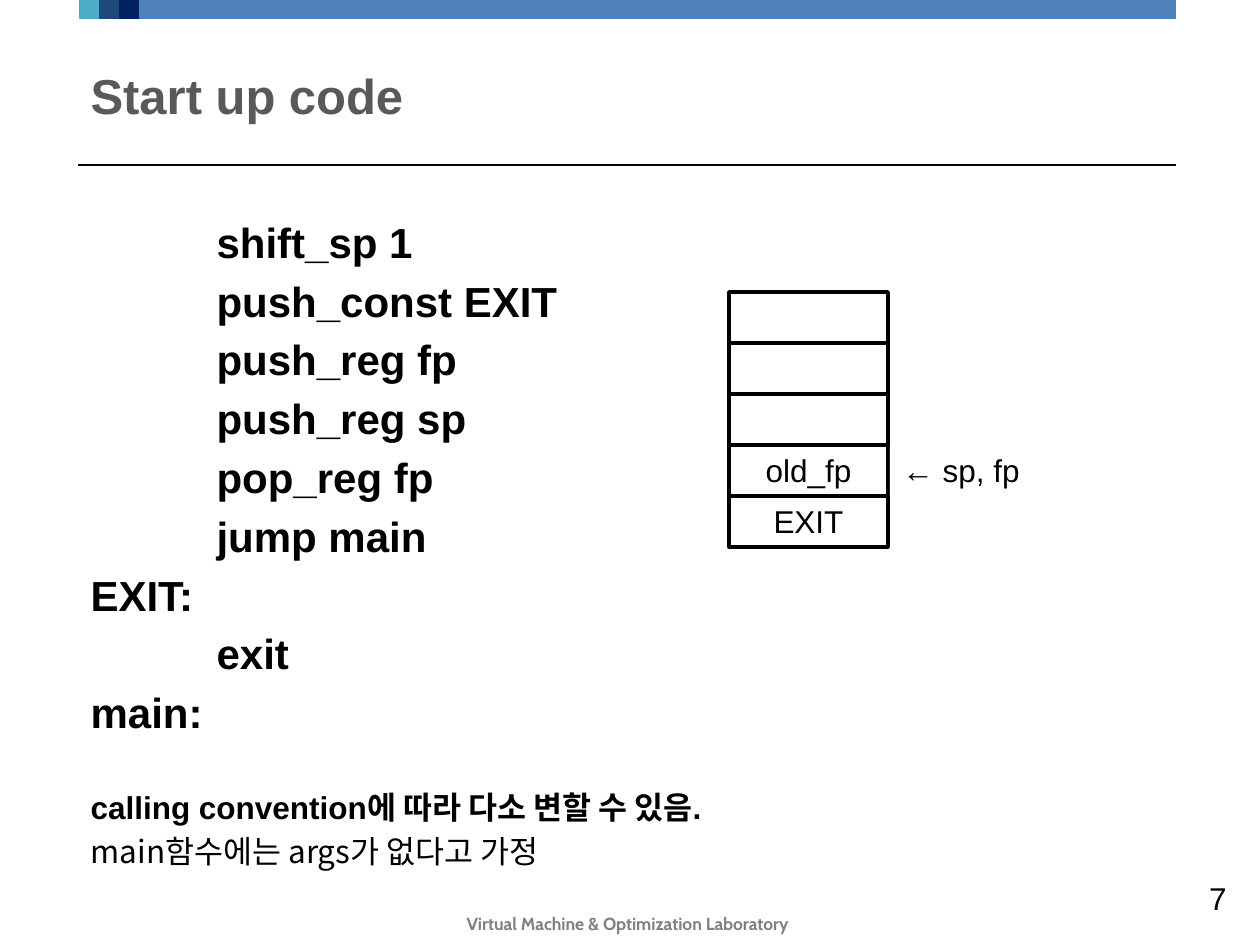
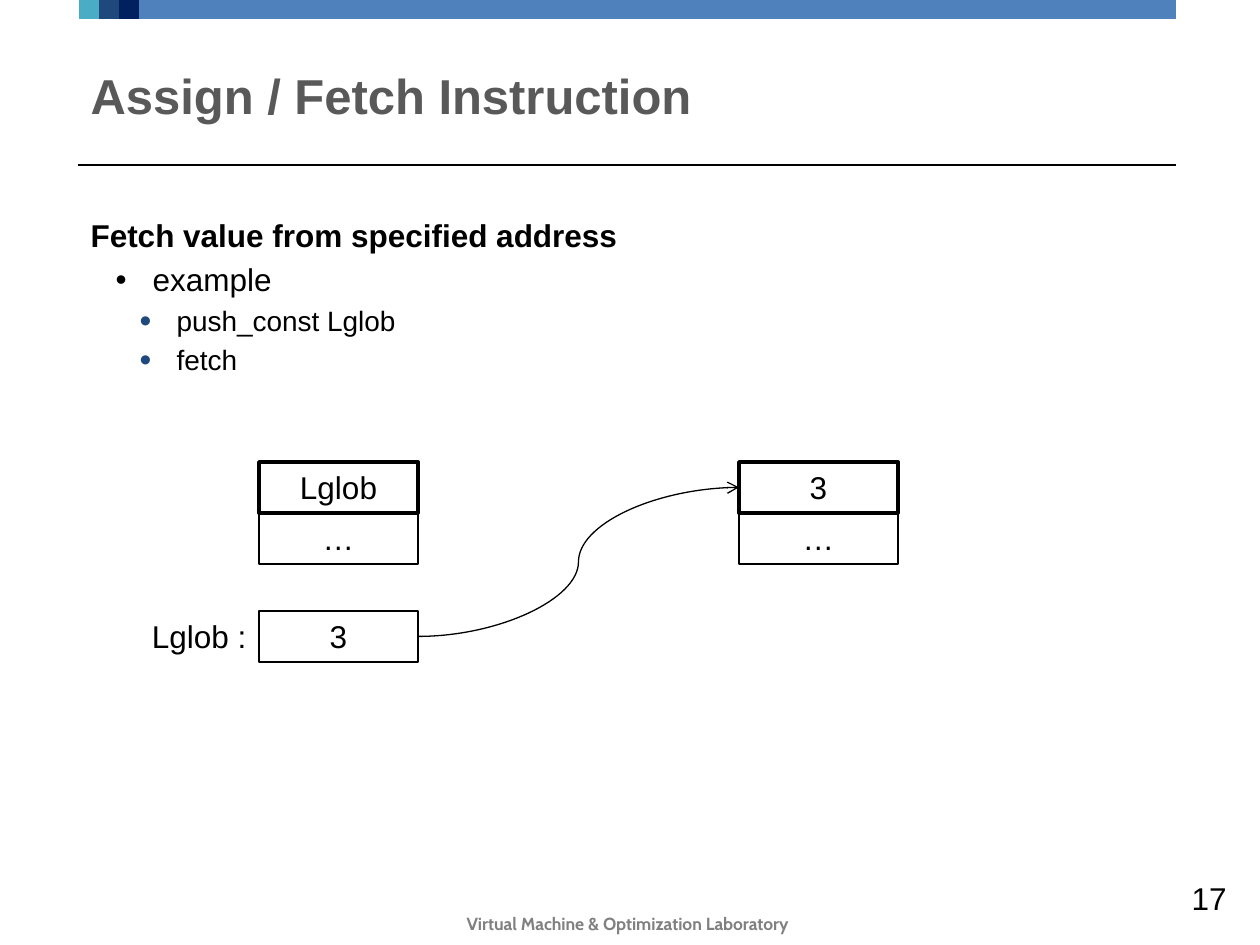
from lxml import etree
from pptx import Presentation
from pptx.dml.color import RGBColor
from pptx.enum.shapes import MSO_CONNECTOR, MSO_SHAPE
from pptx.enum.text import MSO_ANCHOR, MSO_AUTO_SIZE, PP_ALIGN
from pptx.oxml.ns import qn
from pptx.util import Pt

RECTANGLE = MSO_SHAPE.RECTANGLE
STRAIGHT, CURVE = MSO_CONNECTOR.STRAIGHT, MSO_CONNECTOR.CURVE
TOP, MIDDLE = MSO_ANCHOR.TOP, MSO_ANCHOR.MIDDLE
LEFT, CENTER, RIGHT = PP_ALIGN.LEFT, PP_ALIGN.CENTER, PP_ALIGN.RIGHT
NO_AUTOFIT = MSO_AUTO_SIZE.NONE

EMU_PER_PX = 914400 / 126
SLIDE_SIZE = (1260, 945)
MARGIN, CONTENT_WIDTH = 78, 1098
CELL_WIDTH, CELL_HEIGHT = 159, 51
BAND_HEIGHT, SQUARE = 20, 20

BLACK, WHITE = "000000", "FFFFFF"
TITLE_GRAY, FOOTER_GRAY = "595959", "808080"
BAND_BLUE, NAVY = "4F81BD", "1F497D"
SQUARE_COLORS = ("4BACC6", NAVY, "002060")
LATIN, FOOTER_FONT, KOREAN = "Arial", "Cabin", "Noto Sans CJK KR"
FOOTER = "Virtual Machine & Optimization Laboratory"

CODE_LINES = (
    (1, "shift_sp 1"), (1, "push_const EXIT"), (1, "push_reg fp"),
    (1, "push_reg sp"), (1, "pop_reg fp"), (1, "jump main"),
    (0, "EXIT:"), (1, "exit"), (0, "main:"),
)
TAB_WIDTH = 126
FETCH_STEPS = ("push_const Lglob", "fetch")


def px(length):
    """Turn px into EMU."""
    return round(length * EMU_PER_PX)


def color(hex_code):
    """Turn a hex string into a colour."""
    return RGBColor.from_string(hex_code)


def write(paragraph, text, size=18, bold=False, fill=BLACK, font=LATIN, align=LEFT):
    """Add formatted text to a paragraph."""
    paragraph.alignment = align
    run = paragraph.add_run()
    run.text = text
    run.font.size = Pt(size)
    run.font.bold = bold
    run.font.name = font
    run.font.color.rgb = color(fill)
    east_asian = etree.SubElement(run.font._element, qn("a:ea"))
    east_asian.set("typeface", KOREAN)


def place(shape, left, top, width, height):
    """Move and size a shape."""
    shape.left, shape.top = px(left), px(top)
    shape.width, shape.height = px(width), px(height)


def add_box(slide, left, top, width, height, fill=WHITE, border=0, text="", align=CENTER):
    """Add a rectangle with an optional border and text."""
    box = slide.shapes.add_shape(RECTANGLE, px(left), px(top), px(width), px(height))
    box.shadow.inherit = False
    box.fill.solid()
    box.fill.fore_color.rgb = color(fill)
    if border:
        box.line.color.rgb = color(BLACK)
        box.line.width = Pt(border)
    else:
        box.line.fill.background()
    if text:
        box.text_frame.vertical_anchor = TOP
        write(box.text_frame.paragraphs[0], text, align=align)
    return box


def add_cell(slide, left, top, text="", border=2):
    """Add one memory cell."""
    return add_box(slide, left, top, CELL_WIDTH, CELL_HEIGHT, border=border, text=text)


def add_label(slide, left, top, width, height, text, anchor=TOP, **text_format):
    """Add a text box."""
    label = slide.shapes.add_textbox(px(left), px(top), px(width), px(height))
    label.text_frame.word_wrap = True
    label.text_frame.vertical_anchor = anchor
    write(label.text_frame.paragraphs[0], text, **text_format)


def add_line(slide, kind, left, top, right, bottom):
    """Add a thin black connector without shadow."""
    line = slide.shapes.add_connector(kind, px(left), px(top), px(right), px(bottom))
    line.line.color.rgb = color(BLACK)
    line.line.width = Pt(0.75)
    etree.SubElement(line._element.spPr, qn("a:effectLst"))
    return line


def join_with_arrow(slide, source, target):
    """Run a curved arrow from the right of source to the left of target."""
    arrow = add_line(slide, CURVE, 0, 0, 1, 1)
    arrow.begin_connect(source, 3)
    arrow.end_connect(target, 1)
    etree.SubElement(arrow.line._get_or_add_ln(), qn("a:tailEnd")).set("type", "arrow")


def add_item(body, text, level=0, indent=0, hanging=0, bullet_color=None,
             bullet_size=100, before=None, **text_format):
    """Add a body paragraph, with a bullet if it hangs."""
    frame = body.text_frame
    item = frame.paragraphs[0]
    if item.runs:
        item = frame.add_paragraph()
    item.level = level
    write(item, text, **text_format)
    if before:
        item.space_before = Pt(before)
    properties = item._p.get_or_add_pPr()
    properties.set("marL", str(px(indent)))
    properties.set("indent", str(px(-hanging)))
    if not hanging:
        etree.SubElement(properties, qn("a:buNone"))
        return
    tint = etree.SubElement(properties, qn("a:buClr"))
    etree.SubElement(tint, qn("a:srgbClr")).set("val", bullet_color or BLACK)
    etree.SubElement(properties, qn("a:buSzPct")).set("val", str(bullet_size * 1000))
    etree.SubElement(properties, qn("a:buFont")).set("typeface", LATIN)
    etree.SubElement(properties, qn("a:buChar")).set("char", "•")


def start_slide(deck, title, number):
    """Add a slide with the shared frame and return it with its body."""
    slide = deck.slides.add_slide(deck.slide_layouts[1])
    add_label(slide, 1176, 873, 63, 50, number, anchor=MIDDLE, align=RIGHT)
    add_box(slide, 82, -1, 1094, BAND_HEIGHT, fill=BAND_BLUE)
    for index, square_color in enumerate(SQUARE_COLORS):
        add_box(slide, 79 + index * SQUARE, -1, SQUARE, BAND_HEIGHT, fill=square_color)
    add_line(slide, STRAIGHT, MARGIN, 165, MARGIN + CONTENT_WIDTH, 165)
    add_label(slide, 369, 907, 517, 34, FOOTER, size=10, bold=True,
              fill=FOOTER_GRAY, font=FOOTER_FONT, align=CENTER)

    heading, body = slide.placeholders
    place(heading, MARGIN, 47, CONTENT_WIDTH, 95)
    place(body, MARGIN, 210, CONTENT_WIDTH, 672)
    for placeholder, anchor in ((heading, MIDDLE), (body, TOP)):
        placeholder.text_frame.auto_size = NO_AUTOFIT
        placeholder.text_frame.vertical_anchor = anchor
    write(heading.text_frame.paragraphs[0], title, size=28, bold=True, fill=TITLE_GRAY)
    return slide, body


def build_startup_slide(deck):
    """Show the start-up code beside its stack."""
    slide, body = start_slide(deck, "Start up code", "7")
    for tabs, code in CODE_LINES:
        add_item(body, code, indent=tabs * TAB_WIDTH, size=24, bold=True)
    add_item(body, "calling convention에 따라 다소 변할 수 있음.", before=29, bold=True)
    add_item(body, "main함수에는 args가 없다고 가정", font=KOREAN)

    stack_left, stack_top = 729, 292
    for row, content in enumerate(("", "", "", "old_fp", "EXIT")):
        add_cell(slide, stack_left, stack_top + row * CELL_HEIGHT, content)
    add_box(slide, stack_left + CELL_WIDTH + 2, stack_top + 3 * CELL_HEIGHT,
            CELL_WIDTH, CELL_HEIGHT, text="← sp, fp", align=LEFT)


def build_fetch_slide(deck):
    """Show how fetch replaces an address by its value."""
    slide, body = start_slide(deck, "Assign / Fetch Instruction", "17")
    add_item(body, "Fetch value from specified address", bold=True)
    add_item(body, "example", level=1, indent=62, hanging=37)
    for step in FETCH_STEPS:
        add_item(body, step, level=2, indent=86, hanging=37,
                 bullet_color=NAVY, bullet_size=120, size=16)

    before_left, after_left, stack_top, memory_top = 259, 739, 462, 611
    stack_tops = []
    for left, value in ((before_left, "Lglob"), (after_left, "3")):
        add_cell(slide, left, stack_top + CELL_HEIGHT, "…", border=1.5)
        stack_tops.append(add_cell(slide, left, stack_top, value))
    add_box(slide, 82, memory_top, before_left - 82, CELL_HEIGHT,
            text="Lglob :", align=RIGHT)
    memory = add_cell(slide, before_left, memory_top, "3", border=1.5)
    join_with_arrow(slide, memory, stack_tops[1])


def main():
    """Build and save the deck."""
    deck = Presentation()
    deck.slide_width, deck.slide_height = map(px, SLIDE_SIZE)
    build_startup_slide(deck)
    build_fetch_slide(deck)
    deck.save("out.pptx")


if __name__ == "__main__":
    main()
